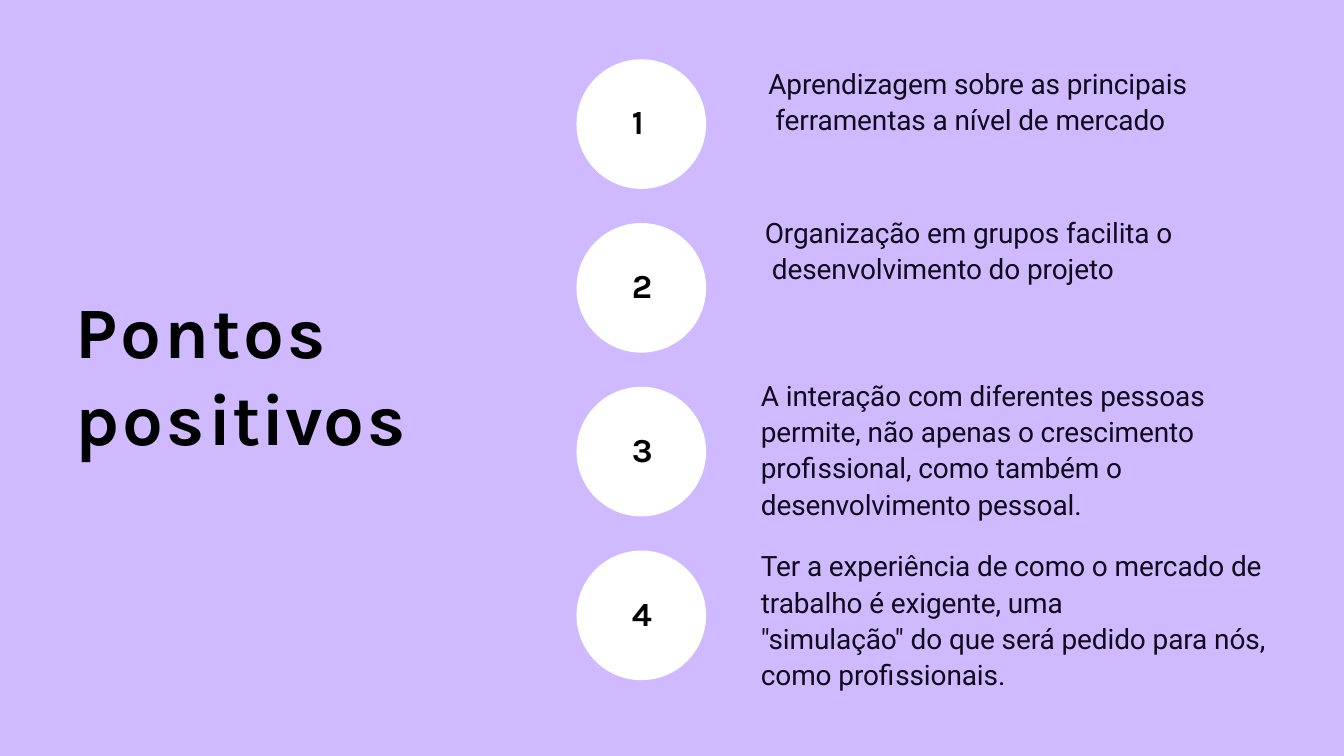
from dataclasses import dataclass
from pptx import Presentation
from pptx.dml.color import RGBColor as Rgb
from pptx.enum.shapes import MSO_SHAPE as Kind
from pptx.enum.text import MSO_ANCHOR as Anchor, MSO_AUTO_SIZE as Fit
from pptx.shapes.autoshape import Shape
from pptx.slide import Slide
from pptx.util import Cm, Pt

LILAC = Rgb(0xCF, 0xB9, 0xFF)
WHITE = Rgb(0xFF, 0xFF, 0xFF)
BLACK = Rgb(0x00, 0x00, 0x00)
INK = Rgb(0x12, 0x09, 0x1C)

WIDE, HIGH = 50.8, 50.8 * 9 / 16
LEFT, TOP, SIZE, STEP = 21.79, 2.24, 4.9, 6.19

TITLE = dict(name="Karla", size=Pt(77.5), bold=True)
DIGIT = dict(name="Karla", size=Pt(36), bold=True)
BODY = dict(name="Roboto", size=Pt(30), bold=False)


@dataclass
class Box:
    left: float
    top: float
    width: float
    height: float


@dataclass
class Run:
    text: str
    track: float


@dataclass
class Point:
    box: Box
    lines: list[str]
    hang: float = 0


POINTS = [
    Point(Box(29.01, 2.36, 16.03, 4.14),
          ["Aprendizagem sobre as principais ferramentas a nível de mercado"], 0.27),
    Point(Box(28.88, 8, 15.6, 4.14),
          ["Organização em grupos facilita o desenvolvimento do projeto"], 0.27),
    Point(Box(28.73, 14.15, 20.27, 5.51),
          ["A interação com diferentes pessoas permite, não apenas o crescimento "
           "profissional, como também o desenvolvimento pessoal."]),
    Point(Box(28.73, 20.6, 20.78, 5.51),
          ["Ter a experiência de como o mercado de trabalho é exigente, uma",
           '"simulação" do que será pedido para nós, como profissionais.']),
]
HEAD = [Run("Pontos ", 3.2)] + [
    Run(char, track) for char, track in
    zip("positivos", (3.3, 2.7, 4.6, -1.4, 0.7, -1.4, 1.1, 2.7, 4.7))
]


def place(box: Box) -> tuple[Cm, Cm, Cm, Cm]:
    return Cm(box.left), Cm(box.top), Cm(box.width), Cm(box.height)


def draw(slide: Slide, kind: Kind, box: Box, color: Rgb) -> Shape:
    shape = slide.shapes.add_shape(kind, *place(box))
    shape.shadow.inherit = False
    shape.fill.solid()
    shape.fill.fore_color.rgb = color
    shape.line.fill.background()
    return shape


def write(slide: Slide, box: Box, paras: list[list[Run]], style: dict,
          color: Rgb, pitch: float = 1, hang: float = 0) -> None:
    frame = slide.shapes.add_textbox(*place(box)).text_frame
    setup = dict(word_wrap=True, auto_size=Fit.NONE, vertical_anchor=Anchor.TOP,
                 margin_left=0, margin_right=0, margin_top=Cm(0.05), margin_bottom=0)
    for key, value in setup.items():
        setattr(frame, key, value)
    for index, runs in enumerate(paras):
        para = frame.add_paragraph() if index else frame.paragraphs[0]
        para.line_spacing = pitch
        props = para._p.get_or_add_pPr()
        props.set("marL", str(Cm(0.03 + hang)))
        props.set("indent", str(-Cm(hang)))
        for item in runs:
            run = para.add_run()
            run.text = item.text
            for key, value in style.items():
                setattr(run.font, key, value)
            run.font.color.rgb = color
            run._r.get_or_add_rPr().set("spc", str(round(item.track * 100)))


def main() -> None:
    deck = Presentation()
    deck.slide_width, deck.slide_height = Cm(WIDE), Cm(HIGH)
    slide = deck.slides.add_slide(deck.slide_layouts[6])
    draw(slide, Kind.RECTANGLE, Box(0, 0, WIDE, HIGH), LILAC)
    write(slide, Box(2.82, 10.77, 15.67, 6.6), [HEAD], TITLE, BLACK)
    for index, point in enumerate(POINTS):
        top = TOP + index * STEP
        draw(slide, Kind.OVAL, Box(LEFT, top, SIZE, SIZE), WHITE)
        write(slide, Box(LEFT + 2.06, top + 1.54, 0.84, 1.55),
              [[Run(str(index + 1), 0.5)]], DIGIT, BLACK)
        write(slide, point.box, [[Run(line, -0.1)] for line in point.lines],
              BODY, INK, 1.08, point.hang)
    deck.save("out.pptx")


if __name__ == "__main__":
    main()
